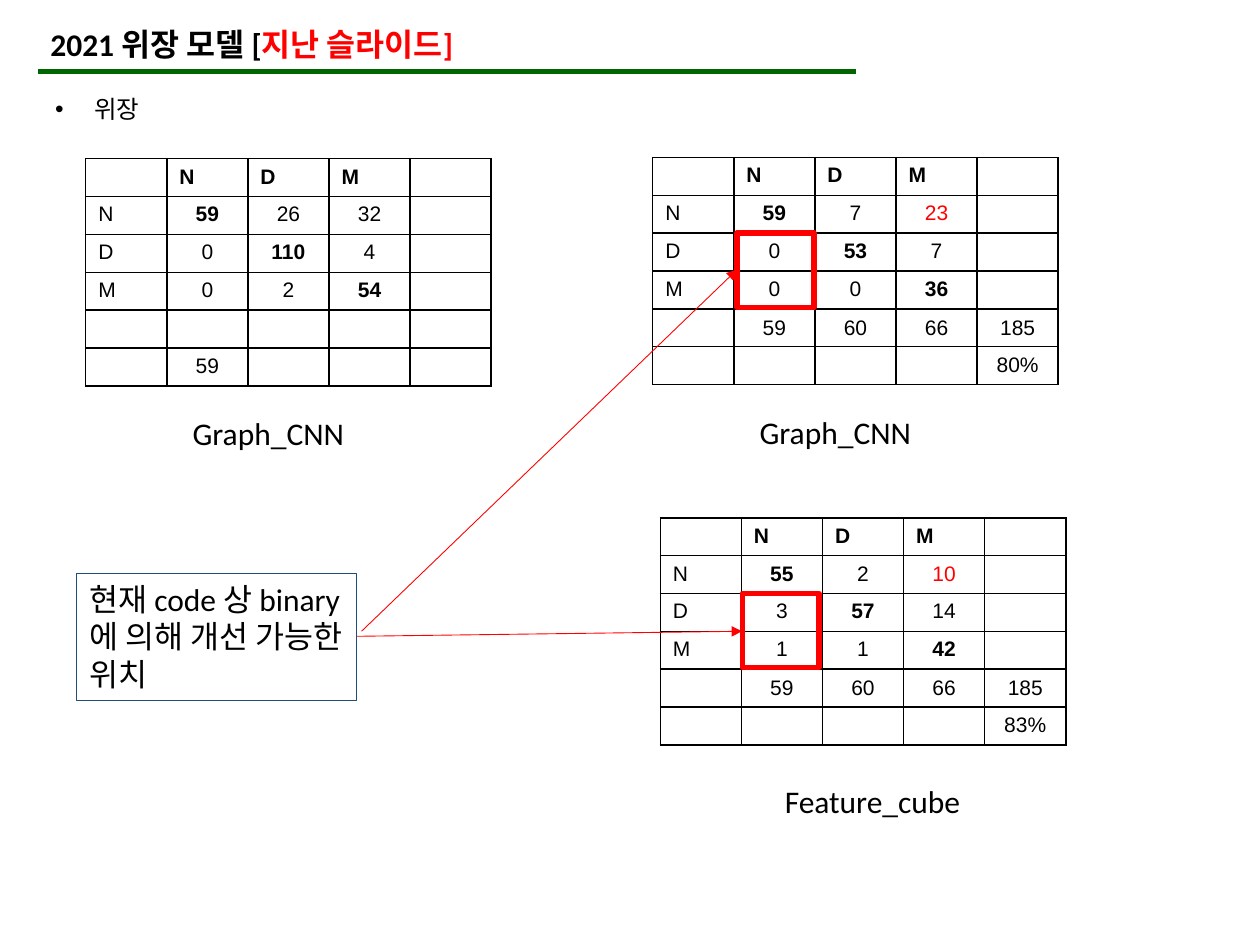
from lxml import etree
from pptx import Presentation
from pptx.dml.color import RGBColor
from pptx.enum.shapes import MSO_CONNECTOR, MSO_SHAPE
from pptx.enum.text import MSO_ANCHOR, MSO_AUTO_SIZE, PP_ALIGN
from pptx.oxml import parse_xml
from pptx.oxml.ns import nsdecls, qn
from pptx.util import Inches, Pt

BLACK, RED, GREEN, NAVY, WHITE = "000000", "FF0000", "006600", "1F4E79", "FFFFFF"


def color(hex_code):
    return RGBColor.from_string(hex_code)


def style_font(font, size, name="Calibri", hex_code=BLACK, bold=False):
    font.size, font.name, font.bold = Pt(size), name, bold
    font.color.rgb = color(hex_code)


presentation = Presentation()
presentation.slide_width, presentation.slide_height = Inches(10), Inches(7.5)
slide = presentation.slides.add_slide(presentation.slide_layouts[5])
shapes = slide.shapes

# Title
title = shapes.title
title.left, title.top = Inches(0.3), Inches(0.15)
title.width, title.height = Inches(5.89), Inches(0.4)
title.text_frame.auto_size = MSO_AUTO_SIZE.NONE
title.text_frame.vertical_anchor = MSO_ANCHOR.TOP
paragraph = title.text_frame.paragraphs[0]
paragraph.alignment = PP_ALIGN.LEFT
for text, hex_code in [("2021 위장 모델 [", BLACK), ("지난 슬라이드]", RED)]:
    run = paragraph.add_run()
    run.text = text
    style_font(run.font, 18, hex_code=hex_code, bold=True)

# Bullet
bullet_box = shapes.add_textbox(Inches(0.34), Inches(0.58), Inches(8.33), Inches(0.41))
bullet_box.text_frame.word_wrap = True
paragraph = bullet_box.text_frame.paragraphs[0]
paragraph.text = "위장"
paragraph.line_spacing = 1.5
properties = paragraph._p.get_or_add_pPr()
properties.set("marL", str(Inches(0.31)))
properties.set("indent", str(-Inches(0.31)))
etree.SubElement(properties, qn("a:buFont")).set("typeface", "Arial")
etree.SubElement(properties, qn("a:buChar")).set("char", "•")
style_font(paragraph.runs[0].font, 14, "Arial")

# Confusion matrices: left, top, caption left, caption top, caption, rows
HEADER = ["", "N", "D", "M", ""]
TOTALS = ["", "59", "60", "66", "185"]
matrices = [
    (0.68, 1.26, 1.43, 3.24, "Graph_CNN", [
        HEADER,
        ["N", "59", "26", "32", ""],
        ["D", "0", "110", "4", ""],
        ["M", "0", "2", "54", ""],
        ["", "", "", "", ""],
        ["", "59", "", "", ""]]),
    (5.18, 1.25, 5.93, 3.23, "Graph_CNN", [
        HEADER,
        ["N", "59", "7", "23", ""],
        ["D", "0", "53", "7", ""],
        ["M", "0", "0", "36", ""],
        TOTALS,
        ["", "", "", "", "80%"]]),
    (5.24, 4.11, 6.13, 6.16, "Feature_cube", [
        HEADER,
        ["N", "55", "2", "10", ""],
        ["D", "3", "57", "14", ""],
        ["M", "1", "1", "42", ""],
        TOTALS,
        ["", "", "", "", "83%"]]),
]
highlighted = ("23", "10")
for left, top, caption_left, caption_top, caption, rows in matrices:
    table = shapes.add_table(6, 5, Inches(left), Inches(top), Inches(3.22), Inches(1.8)).table
    table.first_row = table.horz_banding = False
    for r, row in enumerate(rows):
        for c, value in enumerate(row):
            cell = table.cell(r, c)
            for side in ("lnL", "lnR", "lnT", "lnB"):
                cell._tc.get_or_add_tcPr().append(parse_xml(
                    f'<a:{side} {nsdecls("a")} w="{Pt(1)}"><a:solidFill>'
                    f'<a:srgbClr val="{BLACK}"/></a:solidFill></a:{side}>'))
            cell.fill.solid()
            cell.fill.fore_color.rgb = color(WHITE)
            if not value:
                cell.margin_top = cell.margin_bottom = 0
                continue
            if row is TOTALS:
                cell.vertical_anchor = MSO_ANCHOR.MIDDLE
            cell.text_frame.text = value
            paragraph = cell.text_frame.paragraphs[0]
            if r > 0 and c > 0:
                paragraph.alignment = PP_ALIGN.CENTER
            style_font(paragraph.runs[0].font, 12, "Arial",
                       RED if value in highlighted else BLACK,
                       bold=r == 0 or (r == c and r < 4))

    caption_box = shapes.add_textbox(Inches(caption_left), Inches(caption_top),
                                     Inches(1.72), Inches(0.4))
    caption_box.text_frame.word_wrap = True
    caption_box.text_frame.text = caption
    style_font(caption_box.text_frame.paragraphs[0].runs[0].font, 18)

# Frames around the improvable cells, and the note about them
boxes = [
    (5.85, 1.85, 0.61, 0.59, RED, 3, ""),
    (5.89, 4.71, 0.61, 0.59, RED, 3, ""),
    (0.61, 4.55, 2.22, 1.01, NAVY, 0.75, "현재 code 상 binary에 의해 개선 가능한 위치"),
]
for left, top, width, height, hex_code, weight, text in boxes:
    box = shapes.add_shape(MSO_SHAPE.RECTANGLE, Inches(left), Inches(top),
                           Inches(width), Inches(height))
    box.shadow.inherit = False
    box.fill.background()
    box.line.color.rgb = color(hex_code)
    box.line.width = Pt(weight)
    if text:
        box.text_frame.word_wrap = True
        box.text_frame.vertical_anchor = MSO_ANCHOR.TOP
        box.text_frame.text = text
        paragraph = box.text_frame.paragraphs[0]
        paragraph.alignment = PP_ALIGN.LEFT
        style_font(paragraph.runs[0].font, 18)

# Title rule and arrows from the note to the frames
lines = [
    (0.3, 0.57, 6.79, 0.57, GREEN, 3, False),
    (2.87, 5.01, 5.85, 2.14, RED, 0.5, True),
    (2.83, 5.05, 5.89, 5.01, RED, 0.5, True),
]
for x1, y1, x2, y2, hex_code, weight, has_arrow in lines:
    line = shapes.add_connector(MSO_CONNECTOR.STRAIGHT, Inches(x1), Inches(y1),
                                Inches(x2), Inches(y2))
    line.line.color.rgb = color(hex_code)
    line.line.width = Pt(weight)
    if has_arrow:
        etree.SubElement(line.line._get_or_add_ln(), qn("a:tailEnd")).set("type", "triangle")
    etree.SubElement(line._element.spPr, qn("a:effectLst"))

presentation.save("out.pptx")
